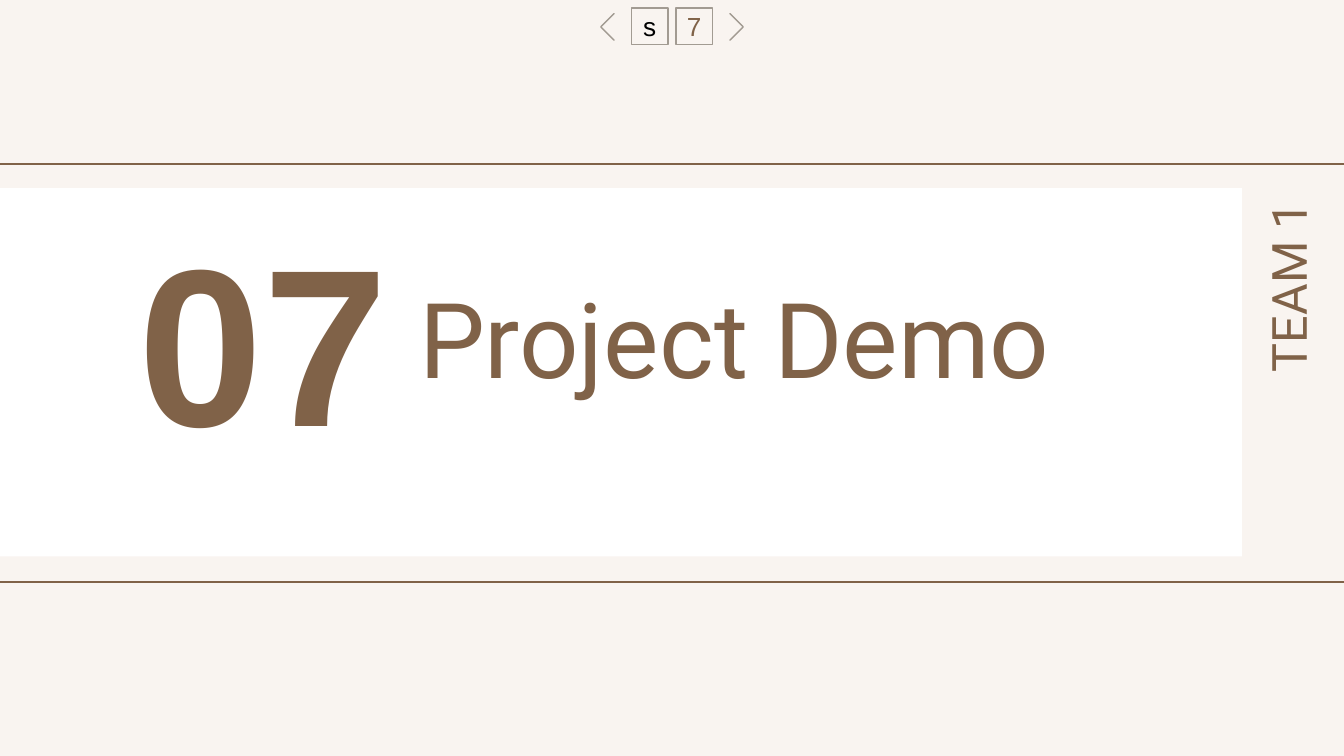
from pptx import Presentation
from pptx.dml.color import RGBColor
from pptx.enum.shapes import MSO_SHAPE
from pptx.enum.text import MSO_ANCHOR, PP_ALIGN
from pptx.util import Inches, Pt

CREAM = RGBColor(0xF9, 0xF4, 0xF0)
WHITE = RGBColor(0xFF, 0xFF, 0xFF)
BROWN = RGBColor(0x80, 0x62, 0x48)
GREY = RGBColor(0xA2, 0x9B, 0x92)
BLACK = RGBColor(0x00, 0x00, 0x00)
RECTANGLE = MSO_SHAPE.RECTANGLE
HALF_FRAME = MSO_SHAPE.HALF_FRAME
MIDDLE = MSO_ANCHOR.MIDDLE
LEFT, CENTER, RIGHT = PP_ALIGN.LEFT, PP_ALIGN.CENTER, PP_ALIGN.RIGHT


def add_shape(slide, kind, box, fill=None, line=None):
    """Add a flat preset shape with an optional fill and thin outline."""
    shape = slide.shapes.add_shape(kind, *map(Inches, box))
    shape.shadow.inherit = False
    if fill is None:
        shape.fill.background()
    else:
        shape.fill.solid()
        shape.fill.fore_color.rgb = fill
    if line is None:
        shape.line.fill.background()
    else:
        shape.line.color.rgb = line
        shape.line.width = Pt(0.75)
    return shape


def write_text(shape, text, size, font_name, color, alignment, side=0.1, bold=False):
    """Write one vertically centred run into a shape or text box."""
    frame = shape.text_frame
    frame.word_wrap = True
    frame.vertical_anchor = MIDDLE
    frame.margin_left = frame.margin_right = Inches(side)
    frame.margin_top = frame.margin_bottom = Inches(0.1)
    paragraph = frame.paragraphs[0]
    paragraph.alignment = alignment
    run = paragraph.add_run()
    run.text = text
    run.font.size = Pt(size)
    run.font.name = font_name
    run.font.bold = bold
    run.font.color.rgb = color


def add_label(slide, box, text, size, font_name, alignment, bold=False, rotation=0):
    """Add a brown text box, optionally rotated."""
    label = slide.shapes.add_textbox(*map(Inches, box))
    label.rotation = rotation
    write_text(label, text, size, font_name, BROWN, alignment, bold=bold)


def add_page_box(slide, left, text, color):
    """Add a small outlined square of the page navigator."""
    square = add_shape(slide, RECTANGLE, (left, 0.06, 0.27, 0.27), line=GREY)
    write_text(square, text, 14, "Arial", color, CENTER, side=0)


def add_chevron(slide, left, rotation):
    """Add a thin navigator chevron from a rotated half frame."""
    chevron = add_shape(slide, HALF_FRAME, (left, 0.13, 0.14, 0.14), BROWN, GREY)
    chevron.adjustments[0] = 0
    chevron.adjustments[1] = 0
    chevron.rotation = rotation


def main():
    """Build the section slide and save it."""
    presentation = Presentation()
    presentation.slide_width = Inches(10)
    presentation.slide_height = Inches(10 * 9 / 16)
    slide = presentation.slides.add_slide(presentation.slide_layouts[6])
    slide.background.fill.solid()
    slide.background.fill.fore_color.rgb = CREAM

    add_shape(slide, RECTANGLE, (-0.05, 1.4, 9.29, 2.74), fill=WHITE)
    add_shape(slide, RECTANGLE, (-0.8, 1.22, 11.9, 3.11), line=BROWN)
    add_label(slide, (3.02, 1.74, 5.52, 1.53), "Project Demo", 56, "Roboto", LEFT)
    add_label(slide, (0.78, 1.74, 2.36, 1.53), "07", 120, "Arial", CENTER, bold=True)
    add_page_box(slide, 4.7, "s", BLACK)
    add_chevron(slide, 5.36, 135)
    add_page_box(slide, 5.03, "7", BROWN)
    add_chevron(slide, 4.5, 315)
    add_label(slide, (8.67, 1.95, 1.82, 0.73), "TEAM 1", 26, "Roboto", RIGHT, rotation=270)

    presentation.save("out.pptx")


if __name__ == "__main__":
    main()
